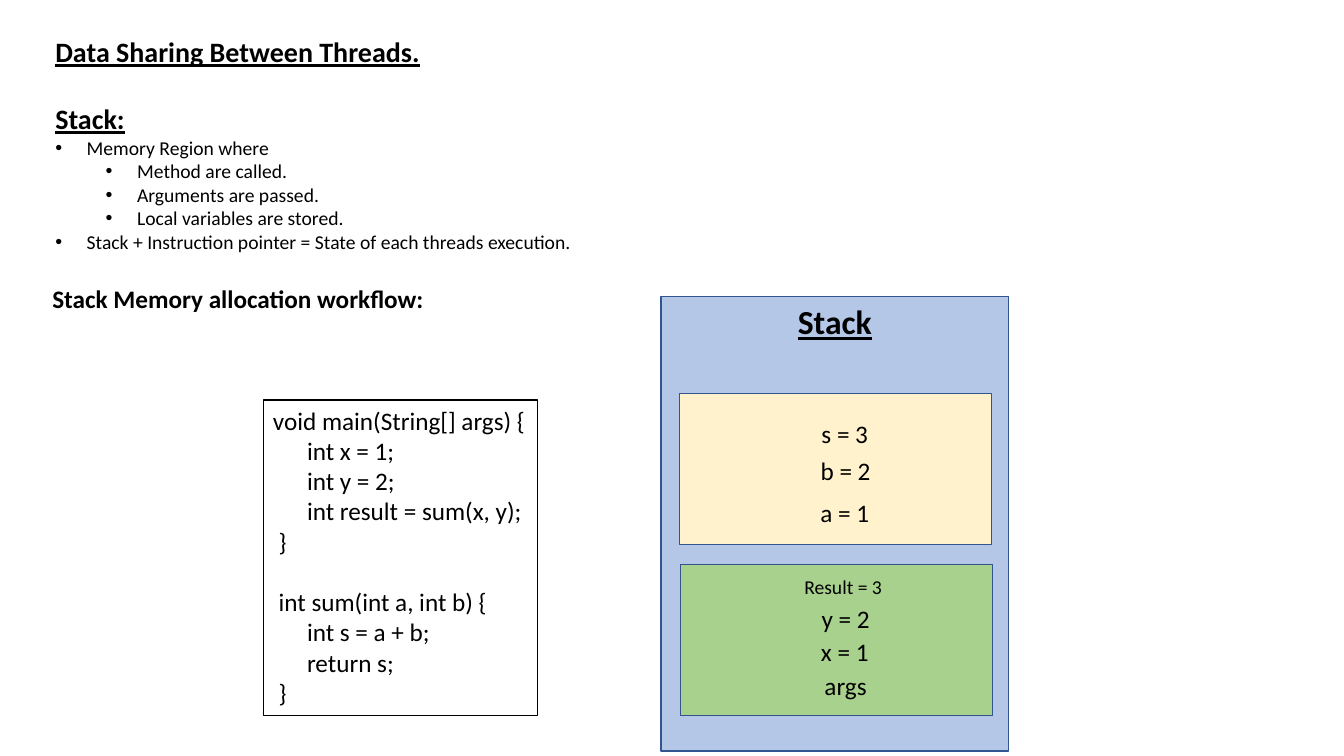
from pptx import Presentation
from pptx.dml.color import RGBColor
from pptx.enum.shapes import MSO_SHAPE as Shape
from pptx.enum.text import MSO_ANCHOR as Anchor, MSO_AUTO_SIZE as AutoSize, PP_ALIGN as Align
from pptx.oxml.ns import qn
from pptx.util import Cm, Pt
from lxml.etree import SubElement


def color(hex_code):
    return RGBColor.from_string(hex_code)


def write(frame, lines, size, bold=False, underline=False, align=Align.LEFT):
    frame.text = "\n".join(lines)
    frame.vertical_anchor = Anchor.TOP
    frame.auto_size = AutoSize.NONE
    for paragraph in frame.paragraphs:
        paragraph.alignment = align
        paragraph.space_before = Pt(0)
        font = paragraph.font
        font.name, font.size = "Calibri", Pt(size)
        font.bold, font.underline = bold, underline
        font.color.rgb = color("000000")


prs = Presentation()
prs.slide_width, prs.slide_height = Cm(33.87), Cm(19.05)
slide = prs.slides.add_slide(prs.slide_layouts[1])

title = slide.shapes.title
title.left, title.top, title.width, title.height = Cm(1.14), Cm(0.74), Cm(9.78), Cm(1.12)
write(title.text_frame, ["Data Sharing Between Threads."], 20, True, True)
title.text_frame.word_wrap = False

stack_points = [
    ("Stack:", 0),
    ("Memory Region where", 0),
    ("Method are called.", 1),
    ("Arguments are passed.", 1),
    ("Local variables are stored.", 1),
    ("Stack + Instruction pointer = State of each threads execution.", 0),
]
summary = slide.placeholders[1]
summary.left, summary.top, summary.width, summary.height = Cm(1.14), Cm(2.44), Cm(13.74), Cm(4.11)
summary.text_frame.text = "\n".join(text for text, level in stack_points)
for index, (text, level) in enumerate(stack_points):
    point = summary.text_frame.paragraphs[index]
    point.level = level
    properties = point._p.get_or_add_pPr()
    if index == 0:
        properties.set("marL", "0")
        properties.set("indent", "0")
        SubElement(properties, qn("a:buNone"))
    else:
        properties.set("marL", str(Cm(0.79 + 1.27 * level)))
        properties.set("indent", str(-Cm(0.79)))
        SubElement(properties, qn("a:buFont")).set("typeface", "Arial")
        SubElement(properties, qn("a:buChar")).set("char", "•")
    point.space_before = Pt(0)
    point.font.name, point.font.size = "Calibri", Pt(14 if index else 20)
    point.font.bold = point.font.underline = index == 0
    point.font.color.rgb = color("000000")
summary.text_frame.word_wrap = False
summary.text_frame.auto_size = AutoSize.NONE

workflow = slide.shapes.add_textbox(Cm(1.07), Cm(7.01), Cm(9.96), Cm(1.8))
write(workflow.text_frame, ["Stack Memory allocation workflow:"], 18, True)

code_lines = [
    "void main(String[] args) {",
    "      int x = 1;",
    "      int y = 2;",
    "      int result = sum(x, y);",
    " }",
    "",
    " int sum(int a, int b) {",
    "      int s = a + b;",
    "      return s;",
    " }",
]
panels = [
    (6.63, 10.08, 6.91, 7.95, None, "000000", 0.75),
    (16.66, 7.47, 8.76, 11.46, "B4C7E7", "325491", 1),
    (17.15, 14.22, 7.87, 3.81, "A9D18E", "325491", 1),
    (17.12, 9.91, 7.87, 3.81, "FFF2CC", "325491", 1),
]
frames = []
for left, top, width, height, fill, line, weight in panels:
    panel = slide.shapes.add_shape(Shape.RECTANGLE, Cm(left), Cm(top), Cm(width), Cm(height))
    panel.shadow.inherit = False
    if fill:
        panel.fill.solid()
        panel.fill.fore_color.rgb = color(fill)
    else:
        panel.fill.background()
    panel.line.color.rgb = color(line)
    panel.line.width = Pt(weight)
    frames.append(panel.text_frame)
code, stack, main_frame, sum_frame = frames
write(code, code_lines, 18)
write(stack, ["Stack"], 24, True, True, Align.CENTER)

variables = [
    ("args", 19.71, 16.76, 3.2, 18),
    ("x = 1", 19.69, 15.9, 3.2, 18),
    ("y = 2", 19.71, 15.09, 3.2, 18),
    ("a = 1", 19.69, 12.4, 3.2, 18),
    ("b = 2", 19.71, 11.35, 3.2, 18),
    ("s = 3", 19.69, 10.41, 3.2, 18),
    ("Result = 3", 19.13, 14.35, 4.24, 14),
]
for text, left, top, width, size in variables:
    variable = slide.shapes.add_textbox(Cm(left), Cm(top), Cm(width), Cm(1.02 if size == 18 else 0.86))
    variable.text_frame.word_wrap = True
    write(variable.text_frame, [text], size, align=Align.CENTER)

prs.save("out.pptx")
